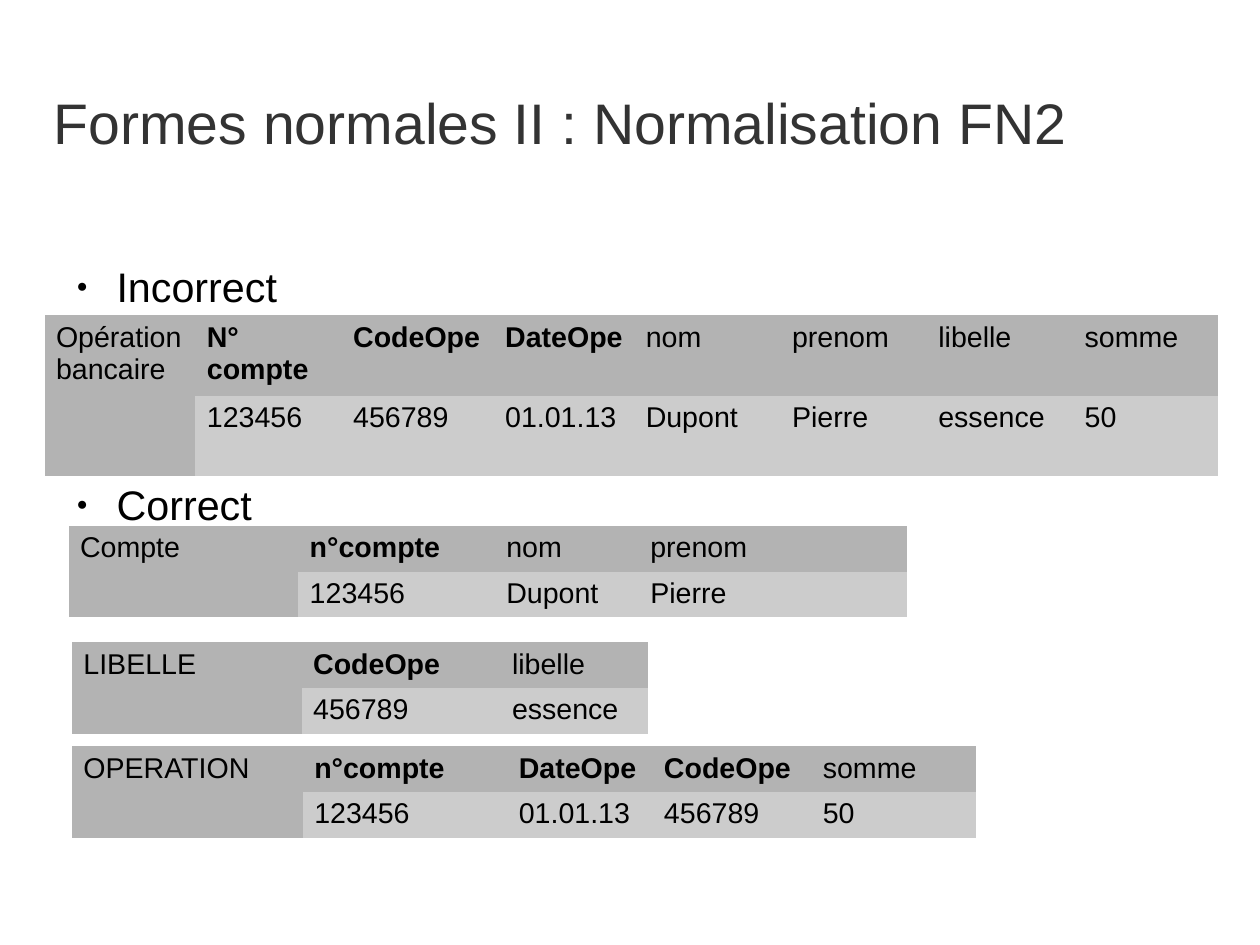
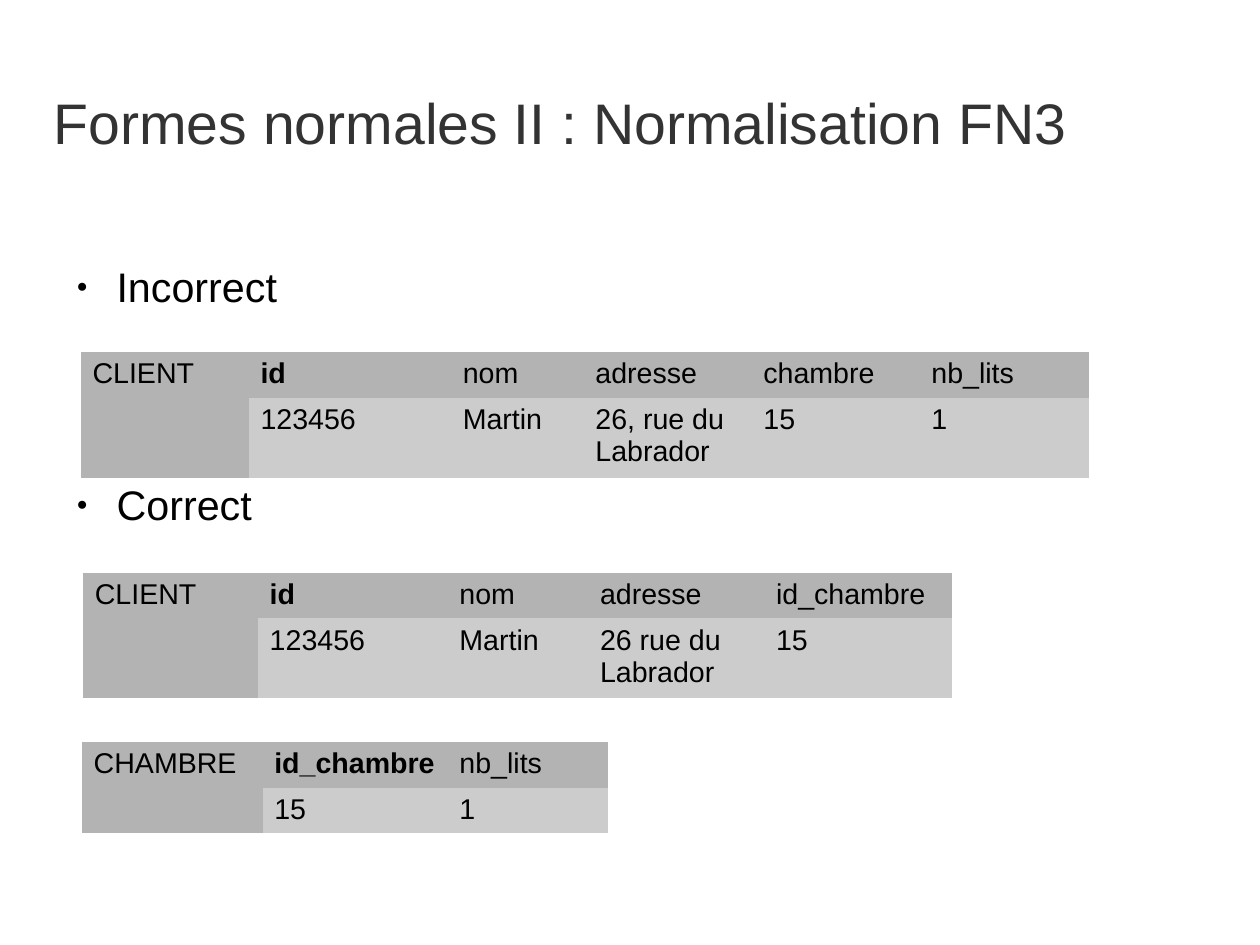
from lxml.etree import SubElement
from pptx import Presentation
from pptx.dml.color import RGBColor
from pptx.enum.text import MSO_ANCHOR
from pptx.oxml.ns import qn
from pptx.util import Inches, Pt

COLOURS = {"title": "333333", "text": "000000", "head": "B3B3B3", "row": "CCCCCC"}
FONT = "Arial"
NO_STYLE = "{2D5ABB26-0587-4C30-8999-92F81FD0307C}"
TITLE_BOX = (0.47, 0.71, 9.69, 0.71)
BODY_BOX = (0.55, 2.29, 9.7, 4.8)
LINE, TALL = 0.39, 0.66

SLIDES = [
    {
        "title": "Formes normales II : Normalisation FN2",
        "tables": [
            {"at": (0.39, 2.76), "name": "Opération bancaire", "keys": 3, "rows": (TALL, TALL),
             "cols": (1.32, 1.28, 1.33, 1.23, 1.28, 1.28, 1.28, 1.27),
             "fields": ("N° compte", "CodeOpe", "DateOpe", "nom", "prenom", "libelle", "somme"),
             "values": ("123456", "456789", "01.01.13", "Dupont", "Pierre", "essence", "50")},
            {"at": (0.6, 4.6), "name": "Compte", "keys": 1, "rows": (LINE, LINE),
             "cols": (2.01, 1.72, 1.26, 2.35),
             "fields": ("n°compte", "nom", "prenom"),
             "values": ("123456", "Dupont", "Pierre")},
            {"at": (0.63, 5.62), "name": "LIBELLE", "keys": 1, "rows": (LINE, LINE),
             "cols": (2.01, 1.74, 1.29),
             "fields": ("CodeOpe", "libelle"),
             "values": ("456789", "essence")},
            {"at": (0.63, 6.53), "name": "OPERATION", "keys": 3, "rows": (LINE, LINE),
             "cols": (2.02, 1.79, 1.27, 1.39, 1.44),
             "fields": ("n°compte", "DateOpe", "CodeOpe", "somme"),
             "values": ("123456", "01.01.13", "456789", "50")},
        ],
    },
    {
        "title": "Formes normales II : Normalisation FN3",
        "tables": [
            {"at": (0.71, 3.08), "name": "CLIENT", "keys": 1, "rows": (LINE, TALL),
             "cols": (1.47, 1.77, 1.16, 1.47, 1.47, 1.48),
             "fields": ("id", "nom", "adresse", "chambre", "nb_lits"),
             "values": ("123456", "Martin", "26, rue du Labrador", "15", "1")},
            {"at": (0.73, 5.01), "name": "CLIENT", "keys": 1, "rows": (LINE, TALL),
             "cols": (1.53, 1.66, 1.23, 1.54, 1.64),
             "fields": ("id", "nom", "adresse", "id_chambre"),
             "values": ("123456", "Martin", "26 rue du Labrador", "15")},
            {"at": (0.72, 6.49), "name": "CHAMBRE", "keys": 1, "rows": (LINE, LINE),
             "cols": (1.58, 1.62, 1.4),
             "fields": ("id_chambre", "nb_lits"),
             "values": ("15", "1")},
        ],
    },
]


def write(para, text, size=18, colour="text", bold=False):
    if text:
        span = para.add_run()
        span.text = text
        span.font.name = FONT
        span.font.size = Pt(size)
        span.font.bold = bold
        span.font.color.rgb = RGBColor.from_string(COLOURS[colour])
    ending = SubElement(para._p, qn("a:endParaRPr"), sz=str(size * 100))
    SubElement(ending, qn("a:latin"), typeface=FONT)


def add_frame(page, box, anchor=MSO_ANCHOR.TOP):
    frame = page.shapes.add_textbox(*map(Inches, box)).text_frame
    frame.word_wrap = True
    frame.vertical_anchor = anchor
    frame.margin_left = frame.margin_top = frame.margin_right = frame.margin_bottom = 0
    return frame


def add_bullet(para):
    properties = para._p.get_or_add_pPr()
    properties.set("marL", str(Inches(0.47)))
    properties.set("indent", str(Inches(-0.35)))
    colour = SubElement(properties, qn("a:buClr"))
    SubElement(colour, qn("a:srgbClr"), val=COLOURS["text"])
    SubElement(properties, qn("a:buSzPct"), val="45000")
    SubElement(properties, qn("a:buFont"), typeface=FONT)
    SubElement(properties, qn("a:buChar"), char="●")


def add_title(page, box, text):
    frame = add_frame(page, box, MSO_ANCHOR.MIDDLE)
    write(frame.paragraphs[0], text, size=36, colour="title")


def add_headings(page, box):
    frame = add_frame(page, box)
    first, second = frame.paragraphs[0], frame.add_paragraph()
    first.space_after = Pt(106)
    for para, text in ((first, "Incorrect"), (second, "Correct")):
        add_bullet(para)
        write(para, text, size=26)


def add_relation(page, at, name, keys, rows, cols, fields, values):
    box = (*at, sum(cols), sum(rows))
    table = page.shapes.add_table(len(rows), len(cols), *map(Inches, box)).table
    table.first_row = table.horz_banding = False
    table._tbl.tblPr.find(qn("a:tableStyleId")).text = NO_STYLE
    for column, width in zip(table.columns, cols):
        column.width = Inches(width)
    for row, height in zip(table.rows, rows):
        row.height = Inches(height)
    for r, texts in enumerate(((name, *fields), ("", *values))):
        for c, text in enumerate(texts):
            cell = table.cell(r, c)
            cell.fill.solid()
            shade = "head" if r == 0 or c == 0 else "row"
            cell.fill.fore_color.rgb = RGBColor.from_string(COLOURS[shade])
            write(cell.text_frame.paragraphs[0], text, bold=r == 0 and 1 <= c <= keys)
    table.cell(0, 0).merge(table.cell(1, 0))


def add_page(deck, title, tables):
    page = deck.slides.add_slide(deck.slide_layouts[6])
    add_title(page, TITLE_BOX, title)
    add_headings(page, BODY_BOX)
    for relation in tables:
        add_relation(page, **relation)


def main():
    deck = Presentation()
    deck.slide_width = Inches(28 / 2.54)
    deck.slide_height = Inches(21 / 2.54)
    for content in SLIDES:
        add_page(deck, **content)
    deck.save("out.pptx")


if __name__ == "__main__":
    main()
